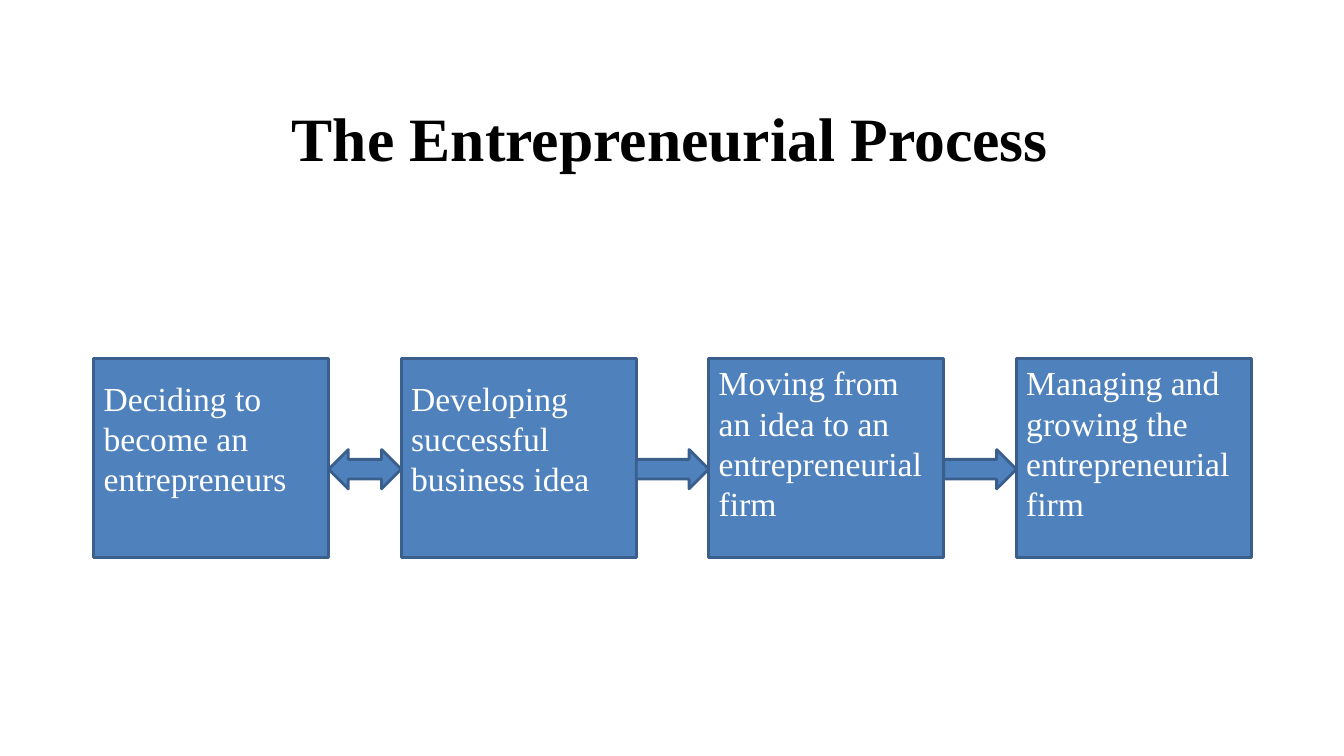
"""Build the slide on the four steps of the entrepreneurial process."""
from dataclasses import dataclass

from pptx import Presentation
from pptx.dml.color import RGBColor
from pptx.enum.shapes import MSO_SHAPE
from pptx.enum.text import MSO_ANCHOR, PP_ALIGN
from pptx.shapes.autoshape import Shape
from pptx.slide import Slide
from pptx.util import Inches, Pt

RECTANGLE = MSO_SHAPE.RECTANGLE
RIGHT_ARROW = MSO_SHAPE.RIGHT_ARROW
LEFT_RIGHT_ARROW = MSO_SHAPE.LEFT_RIGHT_ARROW
MIDDLE = MSO_ANCHOR.MIDDLE
LEFT = PP_ALIGN.LEFT
CENTER = PP_ALIGN.CENTER


@dataclass(frozen=True)
class Theme:
    font: str = "Times New Roman"
    title_color: RGBColor = RGBColor(0x00, 0x00, 0x00)
    step_color: RGBColor = RGBColor(0xFF, 0xFF, 0xFF)
    fill: RGBColor = RGBColor(0x4F, 0x81, 0xBD)
    outline: RGBColor = RGBColor(0x3A, 0x5F, 0x8C)
    outline_width: Pt = Pt(2)
    title_size: Pt = Pt(44)
    step_size: Pt = Pt(24)


@dataclass(frozen=True)
class Step:
    text: str
    top_inset: float
    bottom_inset: float


THEME = Theme()
STEPS = [
    Step("Deciding to become an entrepreneurs", 0.05, 0.45),
    Step("Developing successful business idea", 0.05, 0.45),
    Step("Moving from an idea to an entrepreneurial firm", 0.03, 0.33),
    Step("Managing and growing the entrepreneurial firm", 0.03, 0.33),
]
ARROWS = [LEFT_RIGHT_ARROW, RIGHT_ARROW, RIGHT_ARROW]

ROW_LEFT = 0.93
STEP_TOP, STEP_WIDTH, STEP_HEIGHT = 3.56, 2.33, 1.97
ARROW_TOP, ARROW_WIDTH, ARROW_HEIGHT = 4.46, 0.72, 0.39
PITCH = STEP_WIDTH + ARROW_WIDTH


def write_text(shape: Shape, text: str, size: Pt, color: RGBColor,
               alignment: PP_ALIGN, bold: bool = False) -> None:
    """Put one wrapped, vertically centred paragraph in a shape."""
    frame = shape.text_frame
    frame.word_wrap = True
    frame.vertical_anchor = MIDDLE
    paragraph = frame.paragraphs[0]
    paragraph.text = text
    paragraph.alignment = alignment
    paragraph.font.name = THEME.font
    paragraph.font.size = size
    paragraph.font.bold = bold
    paragraph.font.color.rgb = color


def add_block(slide: Slide, kind: MSO_SHAPE, left: float, top: float,
              width: float, height: float) -> Shape:
    """Add a filled and outlined preset shape."""
    shape = slide.shapes.add_shape(
        kind, Inches(left), Inches(top), Inches(width), Inches(height))
    shape.shadow.inherit = False
    shape.fill.solid()
    shape.fill.fore_color.rgb = THEME.fill
    shape.line.color.rgb = THEME.outline
    shape.line.width = THEME.outline_width
    return shape


def add_title(slide: Slide, text: str) -> None:
    """Add the slide heading."""
    title = slide.shapes.add_textbox(
        Inches(0.65), Inches(0.73), Inches(12), Inches(1.25))
    write_text(title, text, THEME.title_size, THEME.title_color, CENTER, True)


def add_step(slide: Slide, step: Step, left: float) -> None:
    """Add one box of the process."""
    box = add_block(slide, RECTANGLE, left, STEP_TOP, STEP_WIDTH, STEP_HEIGHT)
    write_text(box, step.text, THEME.step_size, THEME.step_color, LEFT)
    box.text_frame.margin_top = Inches(step.top_inset)
    box.text_frame.margin_bottom = Inches(step.bottom_inset)


def main() -> None:
    """Build and save the presentation."""
    presentation = Presentation()
    presentation.slide_width = Inches(13.33)
    presentation.slide_height = Inches(7.5)
    slide = presentation.slides.add_slide(presentation.slide_layouts[6])
    add_title(slide, "The Entrepreneurial Process")
    for index, step in enumerate(STEPS):
        add_step(slide, step, ROW_LEFT + index * PITCH)
    for index, kind in enumerate(ARROWS):
        add_block(slide, kind, ROW_LEFT + STEP_WIDTH + index * PITCH,
                  ARROW_TOP, ARROW_WIDTH, ARROW_HEIGHT)
    presentation.save("out.pptx")


if __name__ == "__main__":
    main()
